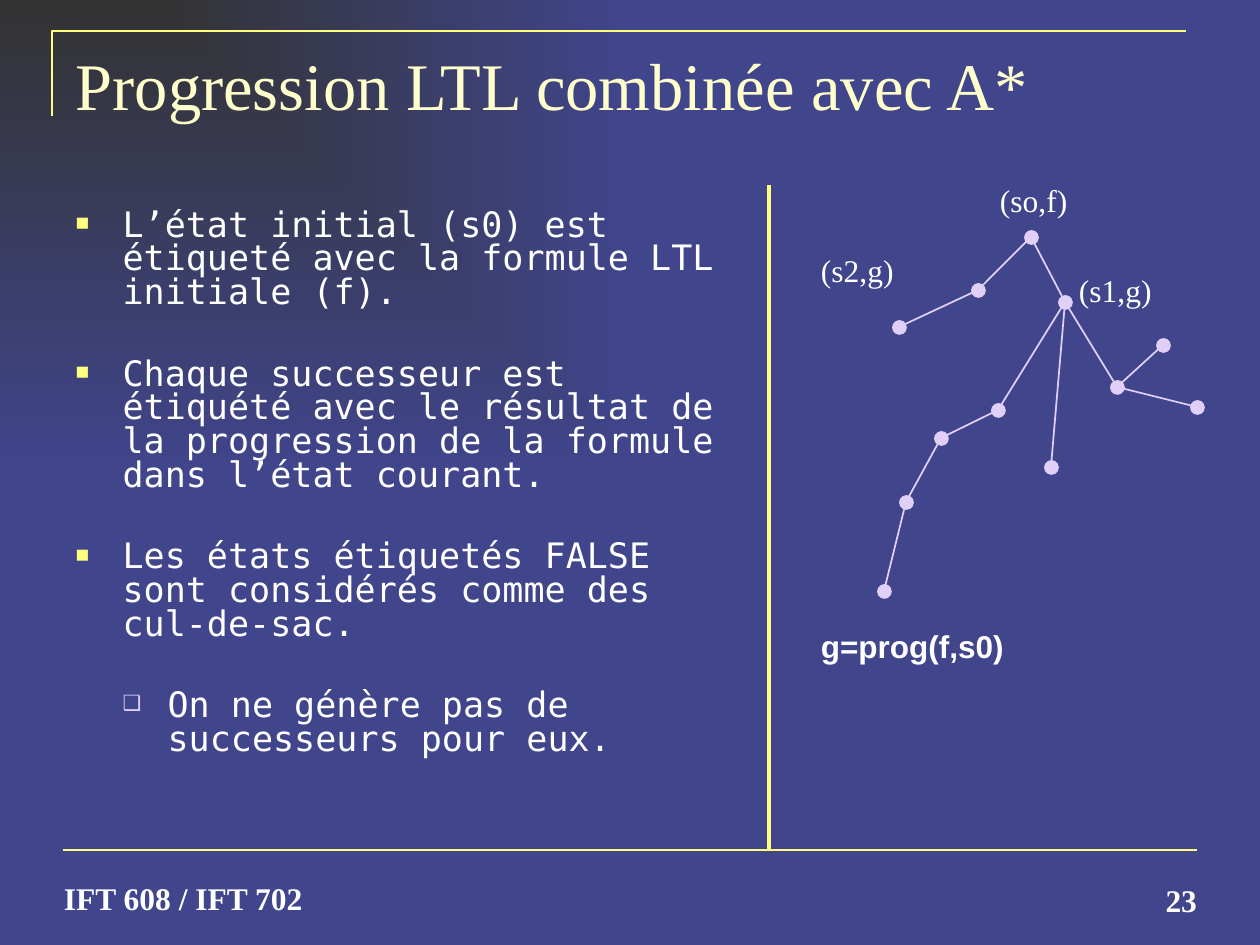
import pptx
import pptx.dml.color
import pptx.enum.shapes
import pptx.enum.text
import pptx.oxml
import pptx.oxml.ns
import pptx.util

RGBColor = pptx.dml.color.RGBColor
CHARCOAL = RGBColor(0x33, 0x33, 0x33)
INDIGO = RGBColor(0x40, 0x45, 0x8C)
YELLOW = RGBColor(0xFF, 0xFF, 0x7D)
CREAM = RGBColor(0xFF, 0xFF, 0xCC)
LILAC = RGBColor(0xE0, 0xD0, 0xF8)
WHITE = RGBColor(0xFF, 0xFF, 0xFF)
SERIF, SANS, MONO = "Times New Roman", "Arial", "DejaVu Sans Mono"
NS = pptx.oxml.ns.nsdecls("a")
ALIGN = pptx.enum.text.PP_ALIGN
ANCHOR = pptx.enum.text.MSO_ANCHOR
PX = 914400 / 126


def px(*lengths):
    return [pptx.util.Emu(round(length * PX)) for length in lengths]


def write(paragraph, text, size, font, color, bold=False):
    run = paragraph.add_run()
    run.text = text
    run.font.size = pptx.util.Pt(size)
    run.font.name = font
    run.font.bold = bold
    run.font.color.rgb = color


deck = pptx.Presentation()
deck.slide_width, deck.slide_height = px(1260, 945)
slide = deck.slides.add_slide(deck.slide_layouts[1])
shapes = slide.shapes

# Background: gradient spreading from the top left corner
backdrop = slide.background.fill
backdrop.gradient()
for stop, color in zip(backdrop.gradient_stops, (CHARCOAL, INDIGO)):
    stop.color.rgb = color
gradient = slide.element.find(".//" + pptx.oxml.ns.qn("a:gradFill"))
gradient.replace(
    gradient.find(pptx.oxml.ns.qn("a:lin")),
    pptx.oxml.parse_xml(
        f'<a:path {NS} path="rect"><a:fillToRect r="100000" b="100000"/></a:path>'
    ),
)

# Corner line around the title
outline = shapes.build_freeform(52, 116, scale=PX)
outline.add_line_segments([(52, 31), (1186, 31)], close=False)
corner = outline.convert_to_shape()
corner.shadow.inherit = False
corner.fill.background()
corner.line.color.rgb = YELLOW
corner.line.width = pptx.util.Pt(1.5)

# Title
title = shapes.title
title.left, title.top, title.width, title.height = px(63, 38, 1134, 158)
heading = title.text_frame
heading.auto_size = pptx.enum.text.MSO_AUTO_SIZE.NONE
heading.vertical_anchor = ANCHOR.TOP
heading.paragraphs[0].alignment = ALIGN.LEFT
write(heading.paragraphs[0], "Progression LTL combinée avec A*", 38, SERIF, CREAM)

# Bullet list: text, level, left margin, hanging indent, space before
points = [
    ("L’état initial (s0) est étiqueté avec la formule LTL initiale (f).", 0, 47, 47, 2),
    ("Chaque successeur est étiquété avec le résultat de la progression "
     "de la formule dans l’état courant.", 0, 47, 47, 27.5),
    ("Les états étiquetés FALSE sont considérés comme des cul-de-sac.", 0, 47, 47, 27.5),
    ("On ne génère pas de successeurs pour eux.", 1, 92, 45, 27.5),
]
bullets = [("■", YELLOW, 65), ("❑", LILAC, 60)]
body = slide.placeholders[1]
body.left, body.top, body.width, body.height = px(63, 204, 677, 640)
body.text_frame.auto_size = pptx.enum.text.MSO_AUTO_SIZE.NONE
for number, (text, level, margin, hanging, space) in enumerate(points):
    point = body.text_frame.paragraphs[0] if number == 0 else body.text_frame.add_paragraph()
    point.level = level
    point.line_spacing = 0.8
    point.space_before = pptx.util.Pt(space)
    write(point, text, 20, MONO, WHITE)
    mark, color, percent = bullets[level]
    properties = point._p.get_or_add_pPr()
    properties.set("marL", str(px(margin)[0]))
    properties.set("indent", str(px(-hanging)[0]))
    for xml in (
        f'<a:buClr {NS}><a:srgbClr val="{color}"/></a:buClr>',
        f'<a:buSzPct {NS} val="{percent}000"/>',
        f'<a:buChar {NS} char="{mark}"/>',
    ):
        properties.append(pptx.oxml.parse_xml(xml))

# Search tree: node centres
nodes = {
    "root": (1031, 237), "s1": (1065, 302), "left": (978, 290), "s2": (899, 327),
    "middle": (1051, 467), "right": (1117, 387), "right up": (1163, 345),
    "right down": (1197, 407), "path 1": (998, 410), "path 2": (941, 438),
    "path 3": (906, 502), "path 4": (884, 591),
}
for x, y in nodes.values():
    node = shapes.add_shape(
        pptx.enum.shapes.MSO_SHAPE.OVAL, *px(x - 6, y - 6, 13, 13)
    )
    node.shadow.inherit = False
    node.fill.solid()
    node.fill.fore_color.rgb = LILAC
    node.line.color.rgb = LILAC
    node.line.width = pptx.util.Pt(1)

# Tree edges, footer rule and column divider
edges = [
    ("root", "s1"), ("root", "left"), ("left", "s2"), ("s1", "right"),
    ("right", "right up"), ("right", "right down"), ("s1", "middle"),
    ("s1", "path 1"), ("path 1", "path 2"), ("path 2", "path 3"), ("path 3", "path 4"),
]
lines = [(nodes[parent], nodes[child], LILAC, 1) for parent, child in edges]
lines += [
    ((63, 850), (1197, 850), YELLOW, 1.5),
    ((769, 185), (769, 849), YELLOW, 2.5),
]
for start, end, color, width in lines:
    line = shapes.add_connector(
        pptx.enum.shapes.MSO_CONNECTOR.STRAIGHT, *px(*start, *end)
    )
    line.line.color.rgb = color
    line.line.width = pptx.util.Pt(width)
    line._element.spPr.append(pptx.oxml.parse_xml(f"<a:effectLst {NS}/>"))

# Node labels, formula, course code and page number
# text, box, font, bold, side and top insets, alignment, anchor
labels = [
    ("(so,f)", (988, 175, 100, 50), SERIF, False, (12, 6), ALIGN.LEFT, ANCHOR.TOP),
    ("(s1,g)", (1067, 265, 106, 50), SERIF, False, (12, 6), ALIGN.LEFT, ANCHOR.TOP),
    ("(s2,g)", (809, 245, 168, 50), SERIF, False, (12, 6), ALIGN.LEFT, ANCHOR.TOP),
    ("g=prog(f,s0)", (809, 621, 318, 50), SANS, True, (12, 6), ALIGN.LEFT, ANCHOR.TOP),
    ("IFT 608 / IFT 702", (64, 879, 258, 39), SERIF, True, (0, 0), ALIGN.LEFT, ANCHOR.TOP),
    ("23", (1106, 879, 91, 40), SERIF, True, (0, 0), ALIGN.RIGHT, ANCHOR.BOTTOM),
]
for text, box, font, bold, (side, top), alignment, anchor in labels:
    label = shapes.add_textbox(*px(*box)).text_frame
    label.word_wrap = True
    label.margin_left, label.margin_right = px(side, side)
    label.margin_top, label.margin_bottom = px(top, top)
    label.vertical_anchor = anchor
    label.paragraphs[0].alignment = alignment
    write(label.paragraphs[0], text, 18, font, WHITE, bold)

deck.save("out.pptx")
